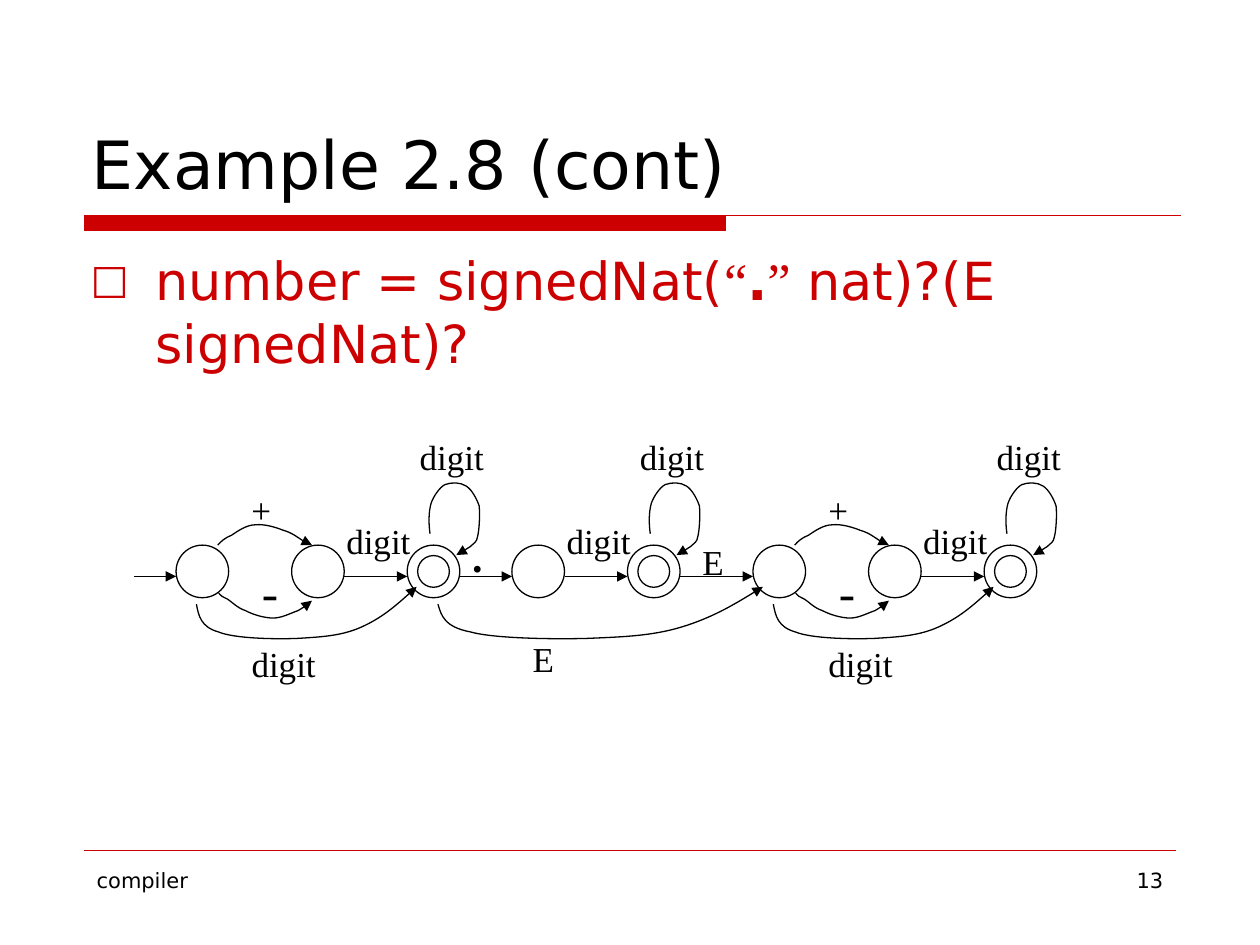
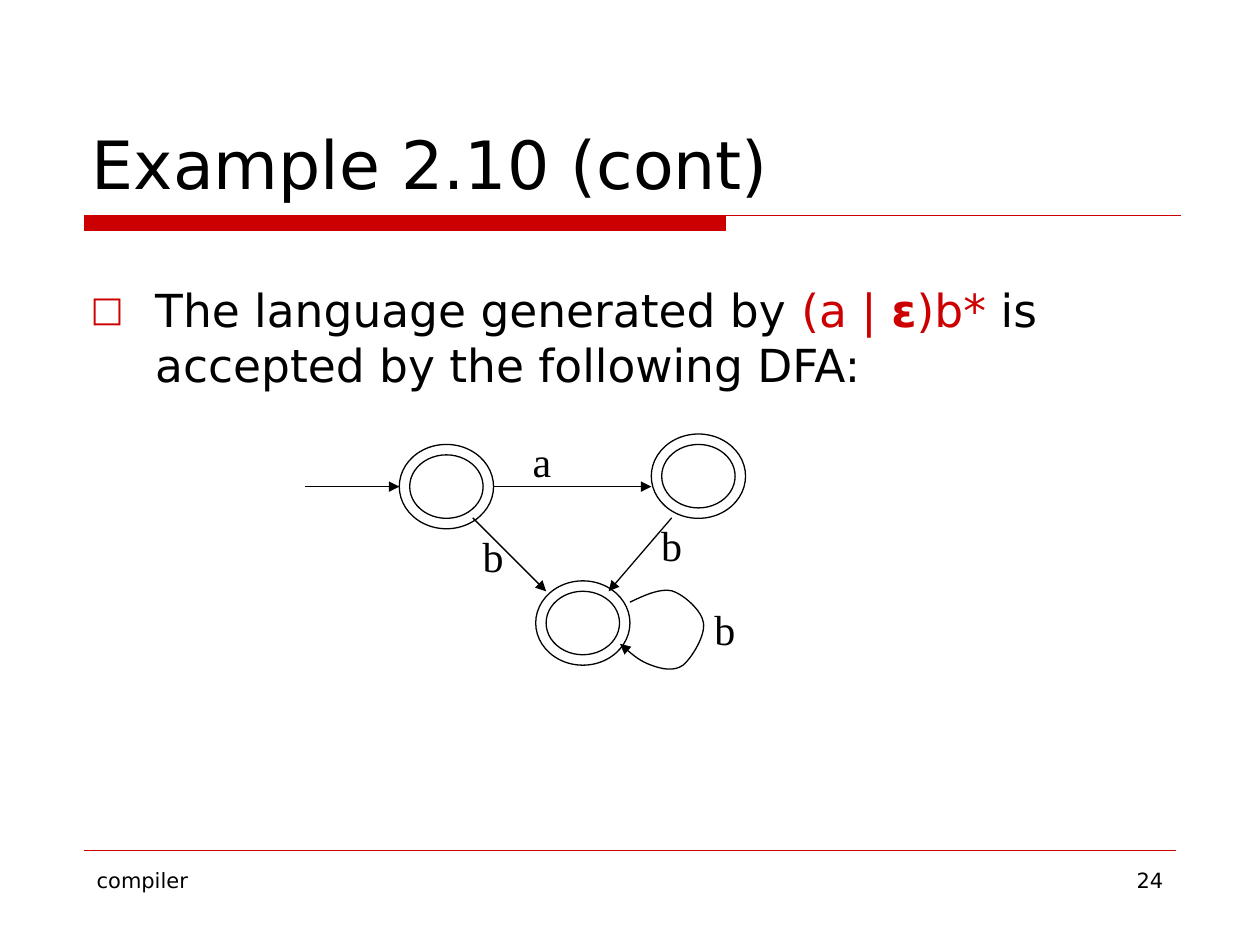
import pptx
import pptx.util
import pptx.dml.color
import pptx.enum.shapes
import pptx.enum.text
import pptx.oxml
import pptx.oxml.ns

Cm = pptx.util.Cm
SHAPE = pptx.enum.shapes.MSO_SHAPE
ALIGN = pptx.enum.text.PP_ALIGN
ANCHOR = pptx.enum.text.MSO_ANCHOR

RED, BLACK = "CC0000", "000000"
SANS, SERIF = "DejaVu Sans", "Times New Roman"
STATE, INSET, AXIS, STEP = 1.06, 0.21, 0.63, 2.33

LOOP = [(.46, -.23), (.43, -.43), (.43, -.66), (.48, -.84),
        (.53, -.99), (.66, -1.17), (.76, -1.22),
        (.89, -1.27), (1.07, -1.27), (1.19, -1.19),
        (1.3, -1.12), (1.4, -.94), (1.45, -.79),
        (1.47, -.61), (1.45, -.3), (1.42, -.18),
        (1.4, -.05), (1.35, -.05), (1.27, .03),
        (1.19, .08), (1.04, .18), (.99, .2)]
PLUS = [(.84, 0), (.91, -.08), (.99, -.15), (1.12, -.2),
        (1.24, -.28), (1.42, -.41), (1.6, -.41),
        (1.78, -.43), (2.01, -.36), (2.16, -.3),
        (2.34, -.25), (2.46, -.15), (2.54, -.1),
        (2.64, -.05), (2.69, -.03), (2.74, 0)]
MINUS = [(.86, .97), (.89, 1.02), (.94, 1.04), (1.04, 1.09),
         (1.12, 1.14), (1.24, 1.27), (1.4, 1.32),
         (1.55, 1.4), (1.78, 1.47), (1.96, 1.47),
         (2.13, 1.47), (2.31, 1.37), (2.46, 1.32),
         (2.59, 1.24), (2.67, 1.19), (2.74, 1.12)]
SKIP = [(0, 1.19), (.01, 1.42), (.02, 1.65), (.1, 1.75),
        (.17, 1.88), (.35, 1.9), (.46, 1.88),
        (.57, 1.85), (.66, 1.83), (.75, 1.65),
        (.84, 1.47), (.92, 1.17), (1, .84)]
REPEAT = [(6.55, 3.48), (6.86, 3.33), (7.16, 3.2), (7.39, 3.25),
          (7.65, 3.33), (8, 3.66), (8.03, 3.89),
          (8.08, 4.14), (7.8, 4.6), (7.62, 4.75),
          (7.44, 4.88), (7.19, 4.83), (6.98, 4.75),
          (6.76, 4.67), (6.55, 4.5), (6.35, 4.32)]


def tint(code):
    return pptx.dml.color.RGBColor.from_string(code)


def apply(item, values):
    for key, value in values.items():
        setattr(item, key, value)


def tag(name, **values):
    node = pptx.oxml.parse_xml(f"<a:{name} {pptx.oxml.ns.nsdecls('a')}/>")
    for key, value in values.items():
        node.set(key, str(value))
    return node


def stroke(shape, width=0.75, color=BLACK, head=False):
    shape.line.width = pptx.util.Pt(width)
    shape.line.color.rgb = tint(color)
    if head:
        edge = shape.element.find(".//" + pptx.oxml.ns.qn("a:ln"))
        edge.append(tag("tailEnd", type="triangle"))


def line(slide, start, end, **look):
    link = slide.shapes.add_connector(
        pptx.enum.shapes.MSO_CONNECTOR.STRAIGHT, *map(Cm, start + end))
    stroke(link, **look)
    link.element.spPr.append(tag("effectLst"))


def bend(shape):
    track = shape.element.find(".//" + pptx.oxml.ns.qn("a:path"))
    steps = track.findall(pptx.oxml.ns.qn("a:lnTo"))
    for i in range(0, len(steps), 3):
        cubic = tag("cubicBezTo")
        for step in steps[i:i + 3]:
            cubic.append(step[0])
            track.remove(step)
        track.append(cubic)


def curve(slide, x, y, knots):
    start, *rest = [(Cm(x + p), Cm(y + q)) for p, q in knots]
    pen = slide.shapes.build_freeform(*start)
    pen.add_line_segments(rest, close=False)
    arc = pen.convert_to_shape()
    bend(arc)
    arc.shadow.inherit = False
    arc.fill.background()
    stroke(arc, head=True)


def oval(slide, x, y, wide, high):
    ring = slide.shapes.add_shape(SHAPE.OVAL, *map(Cm, (x, y, wide, high)))
    ring.shadow.inherit = False
    ring.fill.background()
    stroke(ring)


def state(slide, x, y, wide=STATE, high=STATE, final=False):
    oval(slide, x, y, wide, high)
    if final:
        oval(slide, x + INSET, y + INSET, wide - 2 * INSET, high - 2 * INSET)


def text(slide, box, runs, size, wrap=True, anchor=ANCHOR.TOP, align=ALIGN.LEFT):
    frame = slide.shapes.add_textbox(*map(Cm, box)).text_frame
    apply(frame, {"word_wrap": wrap, "vertical_anchor": anchor})
    para = frame.paragraphs[0]
    para.alignment = align
    for words, font, color, bold in runs:
        run = para.add_run()
        run.text = words
        apply(run.font, {"name": font, "size": pptx.util.Pt(size), "bold": bold})
        run.font.color.rgb = tint(color)
    return para


def label(slide, x, y, words, wide=0.9, size=20, bold=False):
    high = 0.0423 * size + 0.25
    text(slide, (x, y, wide, high), [(words, SERIF, BLACK, bold)], size, wrap=False)


def band(slide, x, y, wide, thick, high):
    pen = slide.shapes.build_freeform(Cm(x), Cm(y))
    pen.add_line_segments([(Cm(x + p), Cm(y + q)) for p, q in
                           ((thick, 0), (thick, high), (0, high))])
    pen.move_to(Cm(x), Cm(y))
    pen.add_line_segments([(Cm(x + wide), Cm(y))], close=False)
    bar = pen.convert_to_shape()
    bar.shadow.inherit = False
    bar.fill.solid()
    bar.fill.fore_color.rgb = tint(RED)
    stroke(bar, color=RED)


def base(deck, title, number):
    slide = deck.slides.add_slide(deck.slide_layouts[6])
    band(slide, 1.7, 4.35, 22.1, 12.93, 0.3)
    line(slide, (1.7, 17.15), (23.7, 17.15), width=0.25, color=RED)
    for x, words, align in ((1.7, "compiler", ALIGN.LEFT), (18.2, number, ALIGN.RIGHT)):
        text(slide, (x, 17.36, 5.5, 1.32), [(words, SANS, BLACK, False)], 12, align=align)
    text(slide, (1.6, 0.84, 22.23, 3.38), [(title, SANS, BLACK, False)], 38,
         anchor=ANCHOR.BOTTOM)
    return slide


def body(slide, top, size, runs):
    para = text(slide, (1.58, top, 22.23, 16.74 - top), runs, size)
    props = para._p.get_or_add_pPr()
    props.set("marL", str(Cm(1.3)))
    props.set("indent", str(Cm(-1.3)))
    shade = tag("buClr")
    shade.append(tag("srgbClr", val=RED))
    props.extend([shade, tag("buSzPct", val=77000), tag("buFont", typeface=SANS),
                  tag("buChar", char="□")])


def enter(slide, x, y, size):
    line(slide, (x - size, y + AXIS), (x, y + AXIS), head=True)


def digits(slide, x, y):
    enter(slide, x, y, 1.27)
    label(slide, x, y - 2.33, "digit", 1.8)
    label(slide, x - 1.48, y - 0.64, "digit", 1.8)
    state(slide, x, y, final=True)
    curve(slide, x, y, LOOP)


def leap(slide, x, y, wide):
    curve(slide, x, y, [(p * wide, q) for p, q in SKIP])


def signed(slide, x, y):
    for left in (x, x + STEP):
        state(slide, left, y)
    curve(slide, x, y, PLUS)
    curve(slide, x, y, MINUS)
    leap(slide, x + 0.41, y, 4.44)
    label(slide, x + 1.27, y - 1.27, "+")
    label(slide, x + 1.48, y + 0.2, "-", size=28)
    label(slide, x + 1.27, y + 1.83, "digit", 1.8)
    digits(slide, x + 2 * STEP, y)


def number(slide, x, y):
    row = y + 2.33
    first, whole, point, part, power = (x + d for d in (0.86, 5.51, 7.63, 9.96, 12.49))
    enter(slide, first, row, 0.85)
    signed(slide, first, row)
    enter(slide, point, row, STATE)
    state(slide, point, row)
    label(slide, point - 1.05, row - 0.43, ".", 0.71, 24, True)
    digits(slide, part, row)
    enter(slide, power, row, 1.47)
    label(slide, power - 1.27, row - 0.21, "E")
    signed(slide, power, row)
    leap(slide, whole + 0.63, row, 6.55)
    label(slide, whole + 2.29, row + 1.73, "E")


def graph(slide, x, y):
    for p, q in ((1.9, 0.3), (6.98, 0.09), (4.65, 3.05)):
        state(slide, x + p, y + q, 1.9, 1.7, True)
    for a, b, c, d in ((0, 1.15, 1.9, 1.15), (3.81, 1.15, 6.98, 1.15),
                       (3.38, 1.78, 4.86, 3.26), (7.39, 1.78, 6.12, 3.26)):
        line(slide, (x + a, y + b), (x + c, y + d), head=True)
    curve(slide, x, y, REPEAT)
    for p, q, words in ((4.34, 0, "a"), (3.33, 1.9, "b"), (6.93, 1.68, "b"),
                        (8, 3.38, "b")):
        label(slide, x + p, y + q, words, size=24)


def main():
    deck = pptx.Presentation()
    apply(deck, {"slide_width": Cm(25.4), "slide_height": Cm(19.05)})
    slide = base(deck, "Example 2.8 (cont)", "13")
    body(slide, 4.88, 30, [
        ("number = signedNat(", SANS, RED, False), ("“", SERIF, RED, False),
        (".", SANS, RED, True), ("”", SERIF, RED, False),
        (" nat)?(E signedNat)?", SANS, RED, False)])
    number(slide, 2.69, 8.66)
    slide = base(deck, "Example 2.10 (cont)", "24")
    body(slide, 5.56, 26, [
        ("The language generated by ", SANS, BLACK, False), ("(a | ", SANS, RED, False),
        ("ε", SANS, RED, True), (")b* ", SANS, RED, False),
        ("is accepted by the following DFA:", SANS, BLACK, False)])
    graph(slide, 6.15, 8.66)
    deck.save("out.pptx")


if __name__ == "__main__":
    main()
